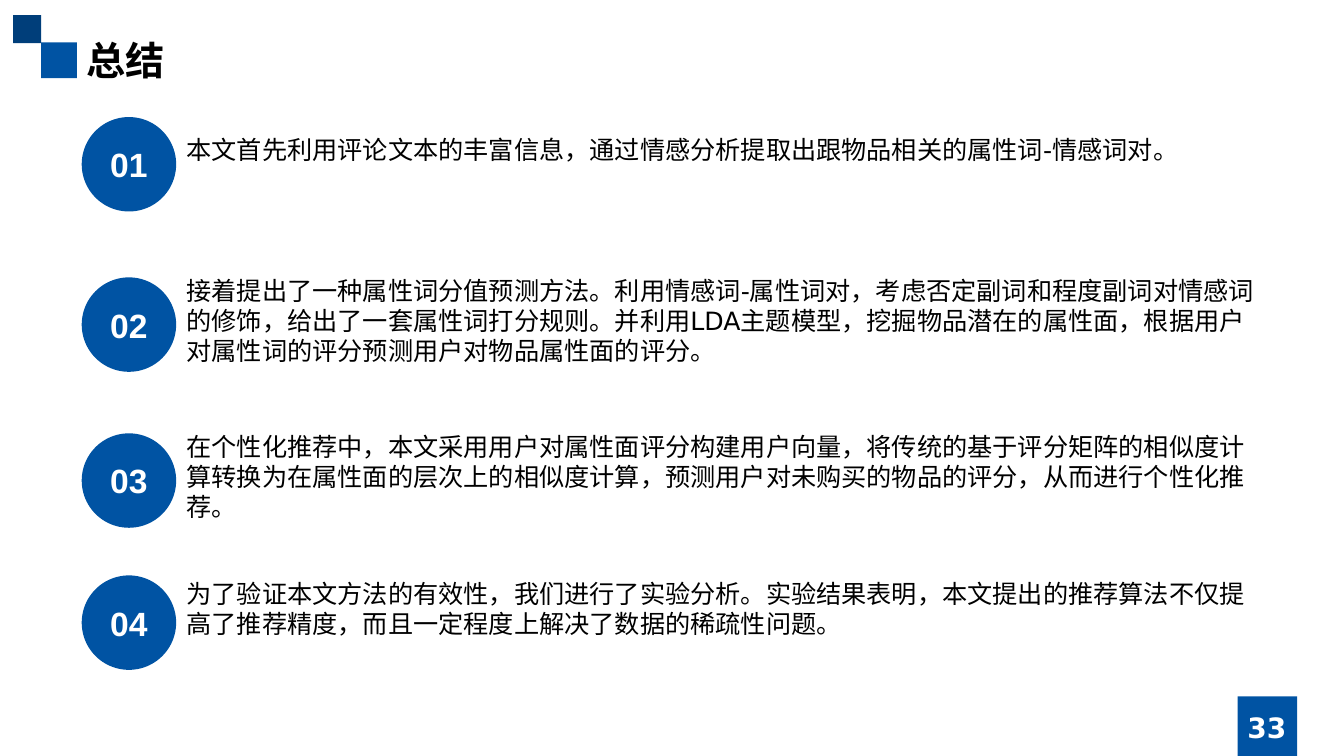
from lxml import etree
from pptx import Presentation
from pptx.dml.color import RGBColor
from pptx.enum.shapes import MSO_SHAPE
from pptx.enum.text import MSO_ANCHOR, MSO_AUTO_SIZE, PP_ALIGN
from pptx.oxml.ns import qn
from pptx.util import Cm, Pt

RECTANGLE, OVAL = MSO_SHAPE.RECTANGLE, MSO_SHAPE.OVAL
LEFT, CENTER = PP_ALIGN.LEFT, PP_ALIGN.CENTER
TOP, MIDDLE = MSO_ANCHOR.TOP, MSO_ANCHOR.MIDDLE
GROW = MSO_AUTO_SIZE.SHAPE_TO_FIT_TEXT

COLORS = {"blue": "0053A3", "navy": "003E7A", "white": "FFFFFF", "black": "000000"}
CHINESE_FONT = "Noto Sans CJK SC"

# Font attributes by text role
FORMATS = {
    "title": {"name": CHINESE_FONT, "size": Pt(28), "bold": True},
    "page": {"name": "DejaVu Sans", "size": Pt(20), "bold": True},
    "number": {"name": "Arial", "size": Pt(24), "bold": True},
    "body": {"name": "DejaVu Sans", "size": Pt(18), "bold": False},
}

# Circle top, text top, text height (cm), text
POINTS = [
    (2.95, 3.25, 1.02,
     "本文首先利用评论文本的丰富信息，通过情感分析提取出跟物品相关的属性词-情感词对。"),
    (6.99, 6.81, 2.57,
     "接着提出了一种属性词分值预测方法。利用情感词-属性词对，考虑否定副词和程度副词对"
     "情感词的修饰，给出了一套属性词打分规则。并利用LDA主题模型，挖掘物品潜在的属性面，"
     "根据用户对属性词的评分预测用户对物品属性面的评分。"),
    (10.92, 10.74, 2.57,
     "在个性化推荐中，本文采用用户对属性面评分构建用户向量，将传统的基于评分矩阵的"
     "相似度计算转换为在属性面的层次上的相似度计算，预测用户对未购买的物品的评分，"
     "从而进行个性化推荐。"),
    (14.5, 14.45, 1.8,
     "为了验证本文方法的有效性，我们进行了实验分析。实验结果表明，本文提出的推荐算法"
     "不仅提高了推荐精度，而且一定程度上解决了数据的稀疏性问题。"),
]


def write_text(shape, text, role, color, align=LEFT, anchor=TOP):
    frame = shape.text_frame
    frame.word_wrap = True
    frame.vertical_anchor = anchor
    paragraph = frame.paragraphs[0]
    paragraph.alignment = align
    run = paragraph.add_run()
    run.text = text
    for attribute, value in FORMATS[role].items():
        setattr(run.font, attribute, value)
    run.font.color.rgb = RGBColor.from_string(COLORS[color])
    # East Asian typeface
    etree.SubElement(run.font._element, qn("a:ea"), typeface=CHINESE_FONT)


def add_block(slide, kind, left, top, size, color):
    shape = slide.shapes.add_shape(kind, Cm(left), Cm(top), Cm(size), Cm(size))
    shape.shadow.inherit = False
    shape.fill.solid()
    shape.fill.fore_color.rgb = RGBColor.from_string(COLORS[color])
    shape.line.fill.background()
    return shape


def add_text(slide, left, top, width, height, text, role, color="black", **layout):
    box = slide.shapes.add_textbox(Cm(left), Cm(top), Cm(width), Cm(height))
    write_text(box, text, role, color, **layout)
    return box


def add_point(slide, number, circle_top, text_top, text_height, text):
    circle = add_block(slide, OVAL, 2.06, circle_top, 2.38, "blue")
    circle.text_frame.margin_left = circle.text_frame.margin_right = 0
    write_text(circle, f"{number:02d}", "number", "white", CENTER, MIDDLE)
    box = add_text(slide, 4.45, text_top, 27.51, text_height, text, "body")
    box.text_frame.auto_size = GROW


def main():
    presentation = Presentation()
    presentation.slide_width, presentation.slide_height = Cm(33.87), Cm(19.05)
    slide = presentation.slides.add_slide(presentation.slide_layouts[6])

    # Corner squares and page number
    add_block(slide, RECTANGLE, 1.04, 1.07, 0.9, "blue")
    add_block(slide, RECTANGLE, 0.33, 0.38, 0.71, "navy")
    add_block(slide, RECTANGLE, 31.19, 17.55, 1.5, "blue")
    add_text(slide, 30, 17.81, 3.86, 1.02, "33", "page", "white",
             align=CENTER, anchor=MIDDLE)

    # Title
    title = add_text(slide, 1.93, 0.79, 30, 1.45, "总结", "title")
    title.text_frame.auto_size = GROW

    # Numbered conclusions
    for number, point in enumerate(POINTS, start=1):
        add_point(slide, number, *point)

    presentation.save("out.pptx")


if __name__ == "__main__":
    main()
